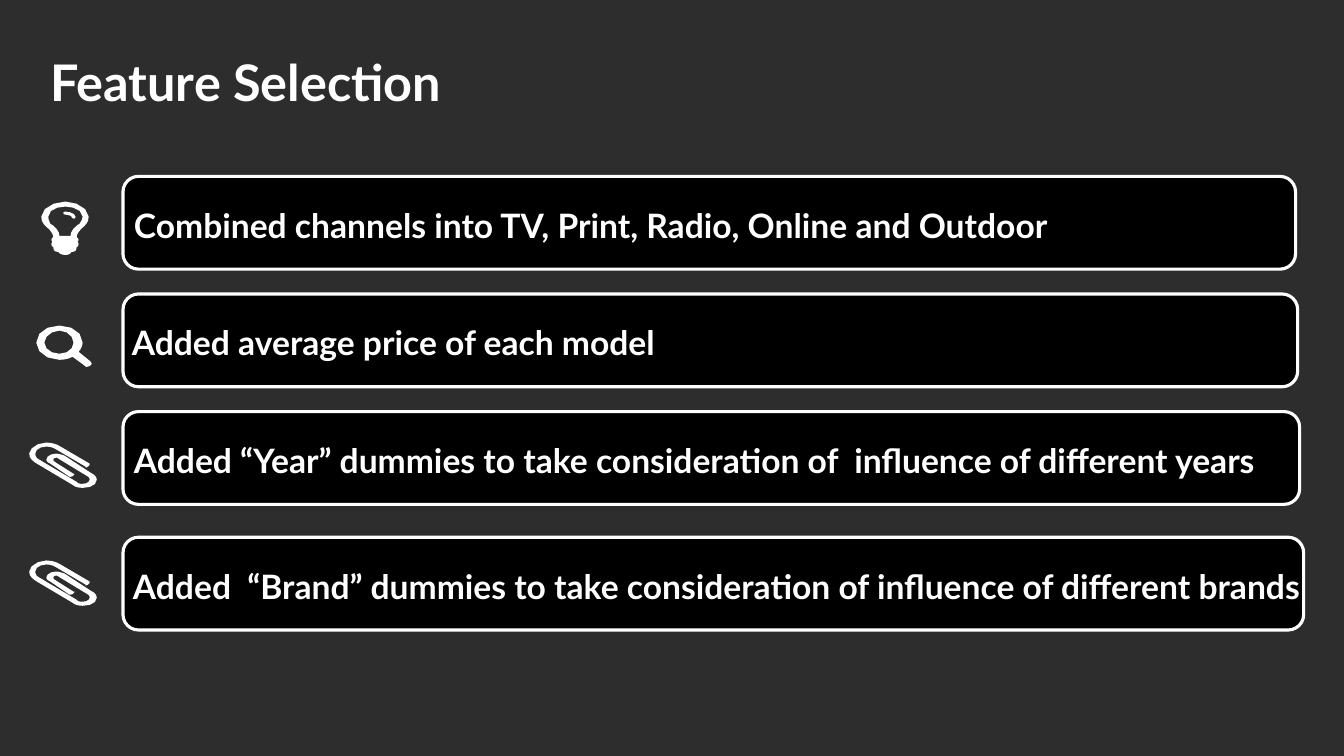
from lxml.etree import SubElement
from pptx import Presentation
from pptx.dml.color import RGBColor
from pptx.enum.shapes import MSO_SHAPE
from pptx.enum.text import MSO_ANCHOR, MSO_AUTO_SIZE, PP_ALIGN
from pptx.oxml.ns import qn
from pptx.util import Emu, Pt

PX = 9144  # EMU per px, 100 px to the inch
WIDTH, HEIGHT = 1333, 750
OVERLAY, WHITE, BLACK = "191919", "FFFFFF", "000000"
CURVE_STEPS = 3

# Icon outlines: one string per contour, "x,y" is a line, three points a curve
BULB = [
    "42,25; 39,27 35,32 35,35; 36,36 37,37 37,38; 37,39 36,39 36,40;"
    "36,40 37,41 37,42; 37,44 36,45 35,45; 35,46; 35,49 33,50 30,50;"
    "29,52 27,53 24,53; 21,53 18,52 17,50; 14,50 12,49 12,46; 12,45;"
    "11,45 10,44 10,42; 10,41 11,40 11,40; 11,39 10,39 10,38;"
    "10,37 11,36 12,35; 12,32 8,27 5,25; 2,22 0,20 0,15;"
    "0,7 12,0 24,0; 35,0 47,7 47,15; 47,20 45,22 42,25",
    "24,5; 16,5 7,8 7,15; 7,18 8,20 9,22; 10,23 11,23 12,24;"
    "16,27 18,31 18,34; 29,34; 29,31 31,27 35,24; 36,23 37,23 38,22;"
    "39,20 41,18 41,15; 41,8 31,5 24,5",
    "33,17; 31,17 30,16 30,15; 30,14 26,13 24,13; 22,13 22,12 22,11;"
    "22,11 22,10 24,10; 28,10 34,12 34,15; 34,16 33,17 33,17",
]
MAGNIFIER = [
    "50,41; 49,41 48,40 47,39; 36,31; 32,33 28,34 23,34;"
    "10,34 0,26 0,17; 0,7 10,0 23,0; 36,0 46,7 46,17;"
    "46,20 44,24 42,26; 53,35; 54,36 55,37 55,38; 55,39 52,41 50,41",
    "23,5; 15,5 8,11 8,17; 8,23 15,28 23,28; 31,28 37,23 37,17;"
    "37,11 31,5 23,5",
]
CLIP = [
    "53,45; 49,45 45,44 43,42; 6,20; 2,17 0,15 0,11; 0,6 8,0 17,0;"
    "23,0 28,2 31,4; 60,21; 60,22; 60,23 57,25 56,25; 56,24; 27,7;"
    "24,5 21,4 17,4; 11,4 6,7 6,11; 6,13 7,16 10,17; 47,39;"
    "48,41 51,41 53,41; 57,41 60,39 60,37; 60,35 59,34 57,33; 29,16;"
    "29,16 28,15 27,15; 25,15 24,16 24,17; 24,18 24,18 25,19; 44,31;"
    "45,31; 45,32 43,34 41,34; 40,34; 21,21; 19,20 17,19 17,17;"
    "17,14 21,11 27,11; 29,11 32,12 35,13; 61,30; 65,32 67,34 67,37;"
    "67,42 61,45 53,45",
]
ICONS = [(BULB, 41, 200), (MAGNIFIER, 36, 323), (CLIP, 29, 439), (CLIP, 29, 556)]

# Wording, bar top and width, text left offset and width
FIRST_TOP, PITCH = 175, 350 / 3
FEATURES = [
    ("Combined channels into TV, Print, Radio, Online and Outdoor",
     FIRST_TOP, 1163, 1, 1132),
    ("Added average price of each model", FIRST_TOP + PITCH, 1165, -1, 936),
    ("Added “Year” dummies to take consideration of  influence of different years",
     FIRST_TOP + 2 * PITCH, 1167, 1, 1167),
    ("Added  “Brand” dummies to take consideration of influence of different brands",
     533, 1171, 0, 1201),
]

# Backdrop: preset, box, colour, opacity in percent, rotation
BACKDROP = [
    (MSO_SHAPE.RIGHT_TRIANGLE, (292, -292, 750, 1333), WHITE, 20, 90),
    (MSO_SHAPE.RIGHT_TRIANGLE, (-21, 20, 750, 710), WHITE, 20, 90),
    (MSO_SHAPE.RECTANGLE, (0, 0, WIDTH, HEIGHT), OVERLAY, 91, 0),
]


def px(*lengths):
    return [Emu(round(n * PX)) for n in lengths]


def rgb(value):
    return RGBColor.from_string(value)


def paint(fill, color):
    fill.solid()
    fill.fore_color.rgb = rgb(color)


def write(sp, text, size, frame):
    tf = sp.text_frame
    for name, value in frame.items():
        setattr(tf, name, value)
    p = tf.paragraphs[0]
    p.alignment = PP_ALIGN.LEFT
    r = p.add_run()
    r.text = text
    for name, value in {"name": "Lato", "size": Pt(size), "bold": True}.items():
        setattr(r.font, name, value)
    r.font.color.rgb = rgb(WHITE)
    return p


def add_backdrop(s):
    for preset, box, color, opacity, rotation in BACKDROP:
        sp = s.shapes.add_shape(preset, *px(*box))
        sp.shadow.inherit = False
        paint(sp.fill, color)
        sp.line.fill.background()
        if rotation:
            sp.rotation = rotation
            sp.element.spPr.find(qn("a:xfrm")).set("flipH", "1")
        tint = sp.element.spPr.find(qn("a:solidFill"))[0]
        SubElement(tint, qn("a:alpha")).set("val", str(opacity * 1000))
        s.shapes.title.element.addprevious(sp.element)  # behind the title


def add_title(s, text, box):
    sp = s.shapes.title
    sp.left, sp.top, sp.width, sp.height = px(*box)
    p = write(sp, text, 36, {"vertical_anchor": MSO_ANCHOR.BOTTOM,
                             "auto_size": MSO_AUTO_SIZE.NONE, "word_wrap": True})
    p.line_spacing = 0.9


def trace(contour):
    """Return the points of one contour, with its curves divided into steps."""
    segments = [[tuple(map(int, pair.split(","))) for pair in part.split()]
                for part in contour.split(";")]
    points = [segments[0][0]]
    for segment in segments[1:]:
        if len(segment) == 1:
            points += segment
            continue
        controls = [points[-1], *segment]
        for step in range(1, CURVE_STEPS + 1):
            t = step / CURVE_STEPS
            weights = ((1 - t) ** 3, 3 * t * (1 - t) ** 2, 3 * t * t * (1 - t), t ** 3)
            points.append(tuple(sum(w * c[axis] for w, c in zip(weights, controls))
                                for axis in (0, 1)))
    return points


def add_icon(s, contours, left, top):
    builder = None
    for contour in contours:
        start, *rest = [px(left + x, top + y) for x, y in trace(contour)]
        if builder is None:
            builder = s.shapes.build_freeform(*start, scale=1.0)
        else:
            builder.move_to(*start)
        builder.add_line_segments(rest[:-1], close=True)
    sp = builder.convert_to_shape()
    sp.shadow.inherit = False
    paint(sp.fill, WHITE)
    sp.line.fill.background()


def add_feature(s, text, box, text_offset, text_width):
    left, top, width, height = box
    group = s.shapes.add_group_shape()
    # Bar
    bar = group.shapes.add_shape(MSO_SHAPE.ROUNDED_RECTANGLE,
                                 *px(left, top, width, height))
    bar.shadow.inherit = False
    paint(bar.fill, BLACK)
    paint(bar.line.fill, WHITE)
    bar.line.width = Pt(2.25)
    # Wording
    label = group.shapes.add_textbox(*px(left + text_offset, top + 18, text_width, 46))
    inset = px(10)[0]
    write(label, text, 24, {"word_wrap": True, "margin_left": inset, "margin_top": inset,
                            "margin_right": inset, "margin_bottom": inset})


def main():
    prs = Presentation()
    prs.slide_width, prs.slide_height = px(WIDTH, HEIGHT)
    s = prs.slides.add_slide(prs.slide_layouts[5])
    paint(s.background.fill, WHITE)
    add_backdrop(s)
    add_title(s, "Feature Selection", (40, 15, 603, 102))
    for icon in ICONS:
        add_icon(s, *icon)
    for text, top, width, text_offset, text_width in FEATURES:
        add_feature(s, text, (122, top, width, 92), text_offset, text_width)
    prs.save("out.pptx")


if __name__ == "__main__":
    main()
